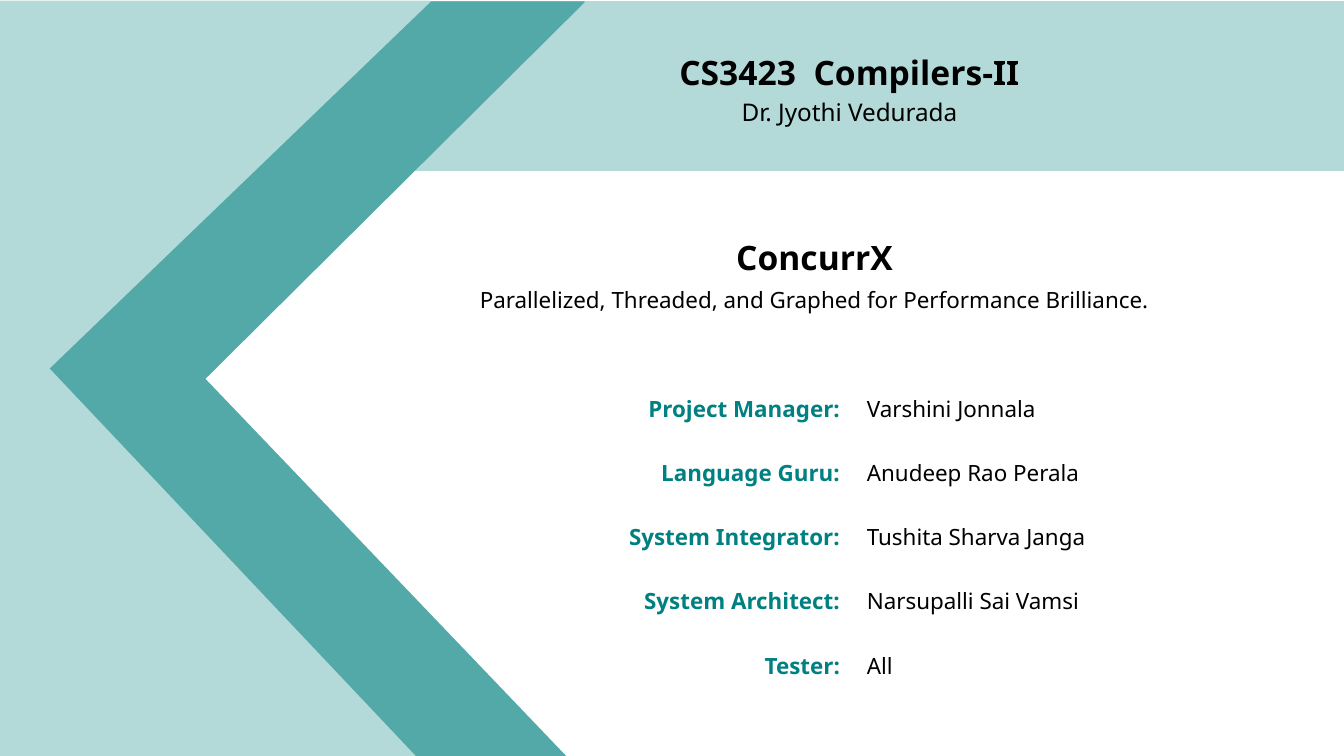
"""Build the opening slide of a compilers course project."""
from dataclasses import dataclass

from lxml import etree
from pptx import Presentation
from pptx.dml.color import RGBColor
from pptx.enum.shapes import MSO_SHAPE
from pptx.enum.text import MSO_ANCHOR, MSO_AUTO_SIZE, PP_ALIGN
from pptx.oxml.ns import qn
from pptx.util import Inches, Pt

RECTANGLE, TRIANGLE = MSO_SHAPE.RECTANGLE, MSO_SHAPE.RIGHT_TRIANGLE
MIDDLE, BOTTOM = MSO_ANCHOR.MIDDLE, MSO_ANCHOR.BOTTOM
LEFT, CENTER, RIGHT = PP_ALIGN.LEFT, PP_ALIGN.CENTER, PP_ALIGN.RIGHT
FIXED_SIZE = MSO_AUTO_SIZE.NONE


@dataclass(frozen=True)
class Theme:
    font: str = "Noto Sans"
    ink: str = "000000"
    role: str = "008080"
    dark: str = "53A8A8"
    light: str = "B3D9D9"
    border: str = "FFFFFF"
    heading: int = 18
    subheading: int = 13
    body: int = 12
    outline: float = 0.75
    cell_border: float = 1.5
    padding: float = 0.1


@dataclass(frozen=True)
class Box:
    left: float
    top: float
    width: float
    height: float

    def lengths(self) -> tuple:
        return tuple(Inches(n) for n in (self.left, self.top, self.width, self.height))


@dataclass(frozen=True)
class Panel:
    kind: MSO_SHAPE
    box: Box
    color: str
    rotation: int = 0


@dataclass(frozen=True)
class Member:
    role: str
    name: str


THEME = Theme()
BACK_PANELS = (
    Panel(TRIANGLE, Box(0.04, 1.27, 4.17, 4.36), THEME.dark),
    Panel(RECTANGLE, Box(2.34, 0.01, 7.66, 1.26), THEME.light),
    Panel(TRIANGLE, Box(0.06, 0, 4.27, 4.3), THEME.dark, 90),
)
FRONT_PANELS = (
    Panel(TRIANGLE, Box(0, 2.36, 3.09, 3.27), THEME.light),
    Panel(TRIANGLE, Box(0.06, -0.05, 3.08, 3.2), THEME.light, 90),
)
TEAM = (
    Member("Project Manager:", "Varshini Jonnala"),
    Member("Language Guru:", "Anudeep Rao Perala"),
    Member("System Integrator:", "Tushita Sharva Janga"),
    Member("System Architect:", "Narsupalli Sai Vamsi"),
    Member("Tester:", "All"),
)
COLUMN_WIDTHS = (1.84, 1.92)
TEAM_HEIGHT = 2.39


def write(para, text: str, *, size: int = THEME.body, color: str = THEME.ink,
          bold: bool = False, align: PP_ALIGN = LEFT, spacing: float = 1.0) -> None:
    para.alignment = align
    para.line_spacing = spacing
    span = para.add_run()
    span.text = text
    span.font.name = THEME.font
    span.font.size = Pt(size)
    span.font.bold = bold
    span.font.color.rgb = RGBColor.from_string(color)


def pad(area) -> None:
    area.margin_left = area.margin_right = Inches(THEME.padding)
    area.margin_top = area.margin_bottom = Inches(THEME.padding)


def write_heading(shape, heading: str, detail: str, *, detail_size: int,
                  anchor: MSO_ANCHOR, spacing: float) -> None:
    frame = shape.text_frame
    frame.word_wrap = True
    frame.auto_size = FIXED_SIZE
    frame.vertical_anchor = anchor
    pad(frame)
    write(frame.paragraphs[0], heading, size=THEME.heading, bold=True,
          align=CENTER, spacing=spacing)
    write(frame.add_paragraph(), detail, size=detail_size, align=CENTER, spacing=spacing)


def draw_panel(slide, panel: Panel) -> None:
    shape = slide.shapes.add_shape(panel.kind, *panel.box.lengths())
    shape.rotation = panel.rotation
    shape.shadow.inherit = False
    color = RGBColor.from_string(panel.color)
    shape.fill.solid()
    shape.fill.fore_color.rgb = color
    shape.line.color.rgb = color
    shape.line.width = Pt(THEME.outline)


def format_cell(cell) -> None:
    cell.vertical_anchor = MIDDLE
    pad(cell)
    properties = cell._tc.get_or_add_tcPr()
    for side in ("a:lnL", "a:lnR", "a:lnT", "a:lnB"):
        line = etree.SubElement(properties, qn(side), w=str(Pt(THEME.cell_border)))
        fill = etree.SubElement(line, qn("a:solidFill"))
        etree.SubElement(fill, qn("a:srgbClr"), val=THEME.border)
    cell.fill.background()


def draw_team(slide, left: float, top: float) -> None:
    box = Box(left, top, sum(COLUMN_WIDTHS), TEAM_HEIGHT)
    table = slide.shapes.add_table(len(TEAM), len(COLUMN_WIDTHS), *box.lengths()).table
    table.first_row = table.horz_banding = False
    for column, width in zip(table.columns, COLUMN_WIDTHS):
        column.width = Inches(width)
    for row, member in zip(table.rows, TEAM):
        role, name = row.cells
        write(role.text_frame.paragraphs[0], member.role, color=THEME.role,
              bold=True, align=RIGHT)
        write(name.text_frame.paragraphs[0], member.name)
        for cell in (role, name):
            format_cell(cell)


def main() -> None:
    deck = Presentation()
    deck.slide_width = Inches(10)
    deck.slide_height = Inches(10 * 9 / 16)
    page = deck.slides.add_slide(deck.slide_layouts[5])
    for panel in BACK_PANELS:
        draw_panel(page, panel)
    course = page.shapes.add_textbox(*Box(4.62, 0.32, 3.4, 0.64).lengths())
    write_heading(course, "CS3423  Compilers-II", "Dr. Jyothi Vedurada",
                  detail_size=THEME.subheading, anchor=MIDDLE, spacing=1.15)
    title = page.shapes.title
    title.left, title.top, title.width, title.height = Box(2.59, 1.46, 6.94, 0.97).lengths()
    write_heading(title, "ConcurrX",
                  "Parallelized, Threaded, and Graphed for Performance Brilliance.",
                  detail_size=THEME.body, anchor=BOTTOM, spacing=1.35)
    draw_team(page, 4.51, 2.8)
    for panel in FRONT_PANELS:
        draw_panel(page, panel)
    deck.save("out.pptx")


if __name__ == "__main__":
    main()
